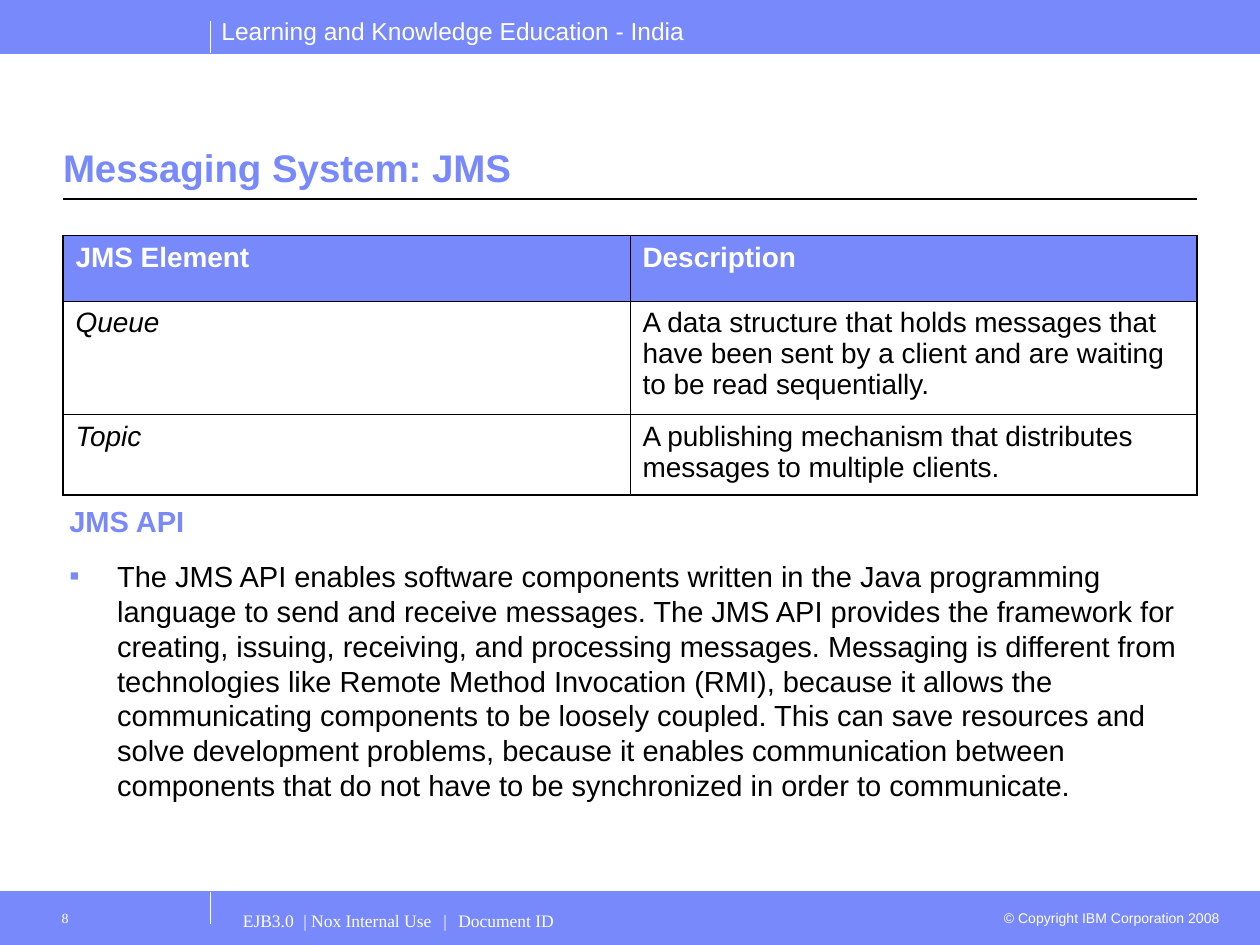
from dataclasses import dataclass

import pptx
import pptx.dml.color
import pptx.enum.shapes
import pptx.enum.text
import pptx.oxml.ns
import pptx.util
from lxml import etree

Inches, Pt = pptx.util.Inches, pptx.util.Pt
qn = pptx.oxml.ns.qn


@dataclass(frozen=True)
class Theme:
    """Colours, fonts and type sizes of the slide."""
    accent: str = "7889FB"
    ink: str = "000000"
    paper: str = "FFFFFF"
    sans: str = "Arial"
    serif: str = "Times New Roman"
    title: float = 22
    body: float = 16.6
    table: float = 16
    banner: float = 14
    footer: float = 10
    small: float = 8


T = Theme()


def rgb(value):
    """Return a colour object for a hex string."""
    return pptx.dml.color.RGBColor.from_string(value)


def style(p, size, color, name=T.sans, bold=False, italic=False):
    """Format every run of a paragraph."""
    for r in p.runs:
        r.font.name, r.font.size = name, Pt(size)
        r.font.bold, r.font.italic = bold, italic
        r.font.color.rgb = rgb(color)


def set_insets(tf, left, top, right, bottom):
    """Set the inner margins of a text frame in inches."""
    tf.margin_left, tf.margin_top = Inches(left), Inches(top)
    tf.margin_right, tf.margin_bottom = Inches(right), Inches(bottom)


def add_text(s, box, text, insets=(0.1, 0.05, 0.1, 0.05)):
    """Add a wrapping text box and return its text frame."""
    tf = s.shapes.add_textbox(*map(Inches, box)).text_frame
    tf.word_wrap = True
    set_insets(tf, *insets)
    tf.text = text
    return tf


def add_line(s, x1, y1, x2, y2, color, width=0.75):
    """Add a straight line without a shadow."""
    c = s.shapes.add_connector(pptx.enum.shapes.MSO_CONNECTOR.STRAIGHT,
                               Inches(x1), Inches(y1), Inches(x2), Inches(y2))
    c.line.color.rgb = rgb(color)
    c.line.width = Pt(width)
    etree.SubElement(c._element.spPr, qn("a:effectLst"))


def add_bar(s, box, edge_y, divider):
    """Add a coloured band with its inner edge and white divider."""
    left, top, width, height = box
    sp = s.shapes.add_shape(pptx.enum.shapes.MSO_SHAPE.RECTANGLE, *map(Inches, box))
    sp.shadow.inherit = False
    sp.fill.solid()
    sp.fill.fore_color.rgb = rgb(T.accent)
    sp.line.color.rgb = rgb(T.accent)
    sp.line.width = Pt(0.75)
    add_line(s, left, edge_y, left + width, edge_y, T.accent, 0.5)
    add_line(s, left + 1.67, divider[0], left + 1.67, divider[1], T.paper)


def add_header(s, box):
    """Add the top band with the department name."""
    left, top, width, height = box
    add_bar(s, box, top + height, (top + height, top + height - 0.25))
    tf = add_text(s, (left + 1.66, top + 0.08, 3.87, 0.34),
                  "Learning and Knowledge Education - India", (0.1, 0.05, 0, 0.05))
    style(tf.paragraphs[0], T.banner, T.paper)


def add_footer(s, box):
    """Add the bottom band with page number, document line and copyright."""
    left, top, width, height = box
    add_bar(s, box, top, (top + 0.25, top))
    tf = add_text(s, (left + 7.83, top + 0.09, 1.95, 0.24),
                  "© Copyright IBM Corporation 2008")
    tf.paragraphs[0].alignment = pptx.enum.text.PP_ALIGN.RIGHT
    style(tf.paragraphs[0], T.small, T.paper)

    tf = add_text(s, (left + 1.83, top + 0.07, 6, 0.35),
                  "EJB3.0\t| Nox Internal Use\t|\tDocument ID", (0.1, 0.07, 0.1, 0.05))
    p = tf.paragraphs[0]
    tabs = etree.SubElement(p._p.get_or_add_pPr(), qn("a:tabLst"))
    for stop in (0.48, 1.59, 1.71):
        etree.SubElement(tabs, qn("a:tab"), pos=str(Inches(stop)), algn="l")
    style(p, T.footer, T.paper, T.serif)

    tf = add_text(s, (left + 0.33, top + 0.07, 1.33, 0.35), "8", (0.16, 0.07, 0.1, 0.05))
    style(tf.paragraphs[0], T.small, T.paper, T.serif)


def set_title(s, box, text):
    """Place the title placeholder and rule it off below."""
    left, top, width, height = box
    sp = s.shapes.title
    sp.left, sp.top, sp.width, sp.height = map(Inches, box)
    tf = sp.text_frame
    tf.auto_size = pptx.enum.text.MSO_AUTO_SIZE.NONE
    tf.vertical_anchor = pptx.enum.text.MSO_ANCHOR.BOTTOM
    set_insets(tf, 0, 0.05, 0, 0.05)
    tf.text = text
    tf.paragraphs[0].alignment = pptx.enum.text.PP_ALIGN.LEFT
    style(tf.paragraphs[0], T.title, T.accent, bold=True)
    rule = top + height + 0.02
    add_line(s, left, rule, left + width, rule, T.ink)


def set_borders(cell, outer):
    """Draw the cell borders, thicker on the sides flagged as outer."""
    tc_pr = cell._tc.get_or_add_tcPr()
    for i, (side, is_outer) in enumerate(zip("LRTB", outer)):
        ln = etree.Element(qn(f"a:ln{side}"), w=str(Pt(1.08 if is_outer else 0.45)))
        fill = etree.SubElement(ln, qn("a:solidFill"))
        etree.SubElement(fill, qn("a:srgbClr"), val=T.ink)
        tc_pr.insert(i, ln)


def add_element_table(s, box, rows, heights):
    """Add the table of JMS elements."""
    n_rows, n_cols = len(rows), len(rows[0])
    table = s.shapes.add_table(n_rows, n_cols, *map(Inches, box)).table
    table.horz_banding = False
    for col in table.columns:
        col.width = Inches(box[2] / n_cols)
    for i, (row, height) in enumerate(zip(rows, heights)):
        table.rows[i].height = Inches(height)
        for j, text in enumerate(row):
            cell = table.cell(i, j)
            head = i == 0
            if head:
                cell.fill.solid()
                cell.fill.fore_color.rgb = rgb(T.accent)
            else:
                cell.fill.background()
            cell.text = text
            p = cell.text_frame.paragraphs[0]
            p.space_after = Pt(10)
            style(p, T.table, T.paper if head else T.ink, bold=head,
                  italic=not head and j == 0)
            set_borders(cell, (j == 0, j == n_cols - 1, head, i == n_rows - 1))


def add_body(s, box, heading, text):
    """Add a heading followed by a bulleted paragraph."""
    tf = add_text(s, box, heading, (0.05,) * 4)
    tf.add_paragraph().text = text
    for p in tf.paragraphs:
        p.space_after = Pt(11.2)
        p_pr = p._p.get_or_add_pPr()
        p_pr.set("marL", str(Inches(0.38)))
        p_pr.set("indent", str(-Inches(0.38)))
    color = etree.SubElement(p_pr, qn("a:buClr"))
    etree.SubElement(color, qn("a:srgbClr"), val=T.accent)
    etree.SubElement(p_pr, qn("a:buFont"), typeface=T.sans)
    etree.SubElement(p_pr, qn("a:buChar"), char="▪")
    style(tf.paragraphs[0], T.body, T.accent, bold=True)
    style(p, T.body, T.ink)


def main():
    """Build the slide and save it."""
    prs = pptx.Presentation()
    prs.slide_width, prs.slide_height = Inches(10), Inches(7.5)
    s = prs.slides.add_slide(prs.slide_layouts[5])
    add_header(s, (0, 0, 10, 0.42))
    add_footer(s, (0, 7.08, 10, 0.42))
    set_title(s, (0.5, 0.64, 9, 0.92), "Messaging System: JMS")
    add_body(s, (0.5, 3.95, 9, 2.75), "JMS API", "The JMS API enables software components written in the Java programming language to send and receive messages. The JMS API provides the framework for creating, issuing, receiving, and processing messages. Messaging is different from technologies like Remote Method Invocation (RMI), because it allows the communicating components to be loosely coupled. This can save resources and solve development problems, because it enables communication between components that do not have to be synchronized in order to communicate.")
    add_element_table(s, (0.5, 1.87, 9, 2.06), [
        ("JMS Element", "Description"),
        ("Queue", "A data structure that holds messages that have been sent by a client and are waiting to be read sequentially."),
        ("Topic", "A publishing mechanism that distributes messages to multiple clients."),
    ], (0.52, 0.9, 0.64))
    prs.save("out.pptx")


if __name__ == "__main__":
    main()
